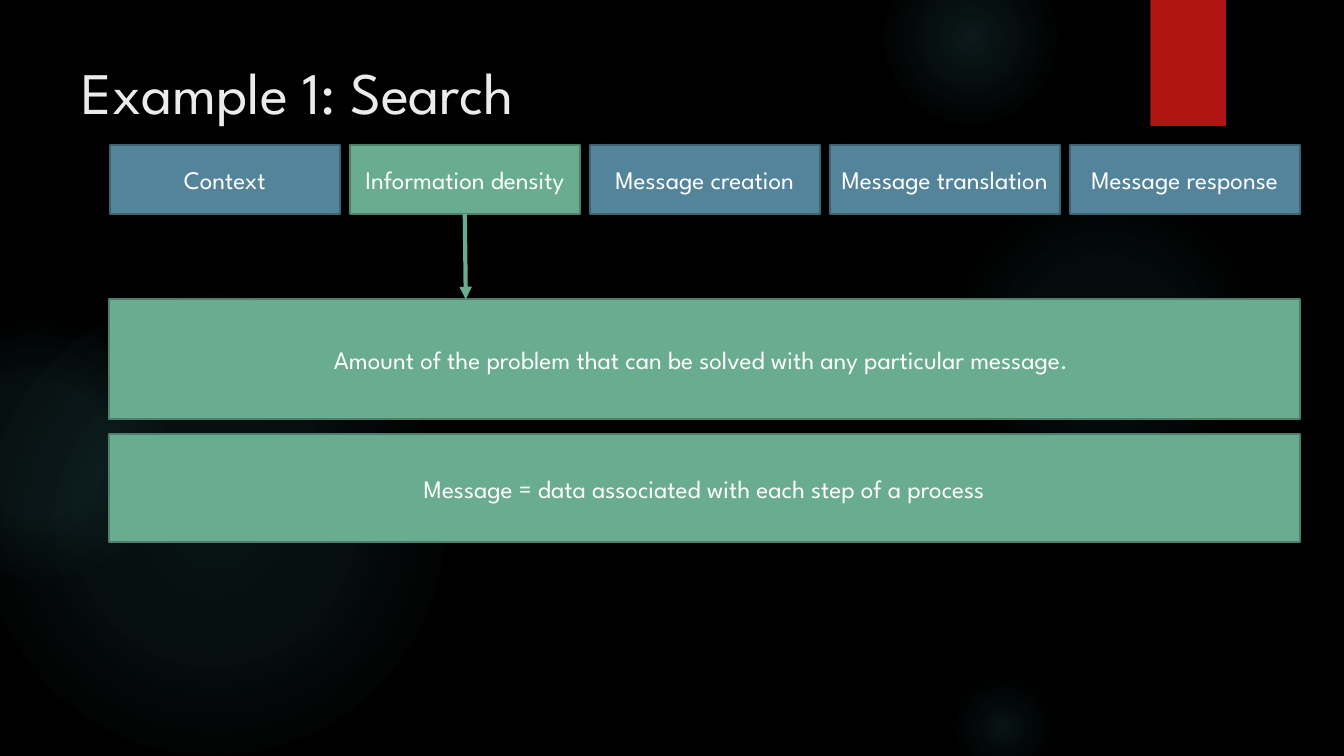
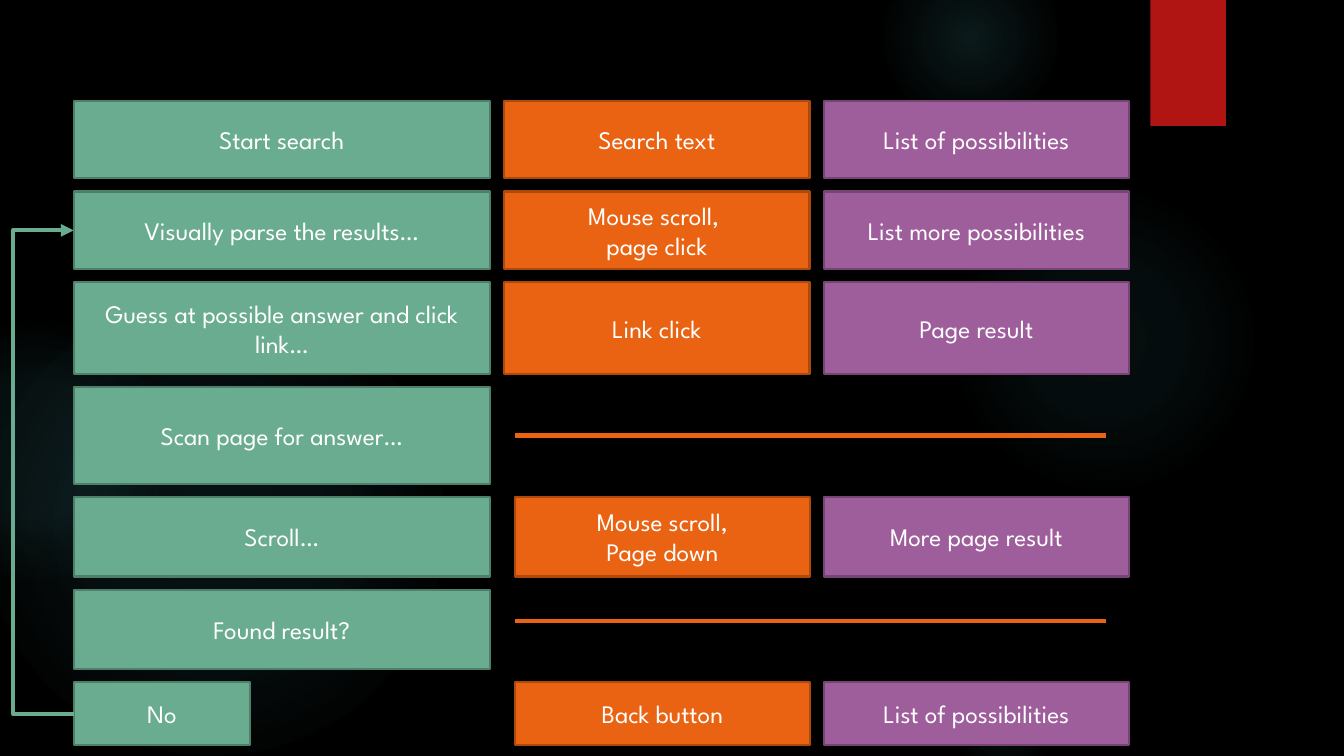
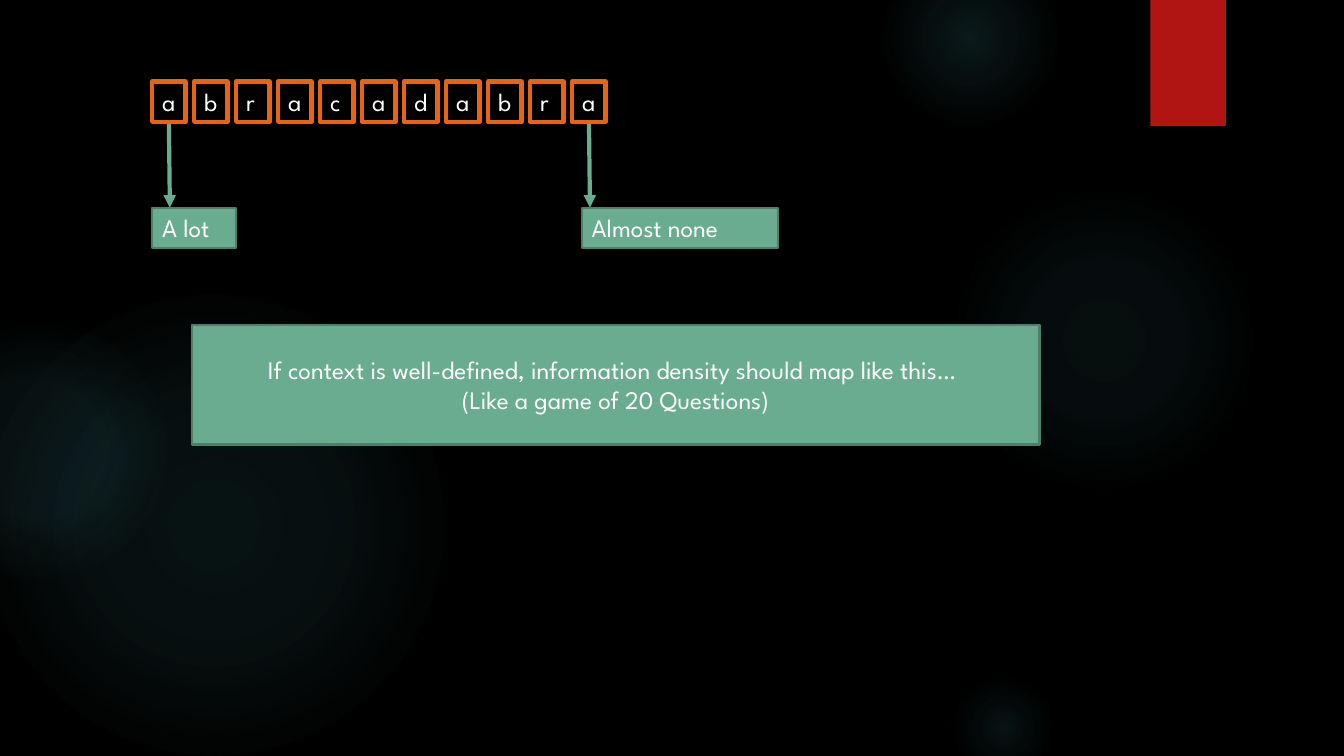
"""Build three slides on information density in search."""
from lxml import etree
from pptx import Presentation
from pptx.dml.color import RGBColor
from pptx.enum.shapes import MSO_CONNECTOR, MSO_SHAPE
from pptx.enum.text import MSO_ANCHOR, MSO_AUTO_SIZE, PP_ALIGN
from pptx.oxml import parse_xml
from pptx.oxml.ns import qn
from pptx.util import Emu, Inches, Pt

RECT, OVAL = MSO_SHAPE.RECTANGLE, MSO_SHAPE.OVAL
STRAIGHT, ELBOW = MSO_CONNECTOR.STRAIGHT, MSO_CONNECTOR.ELBOW
TOP, MIDDLE = MSO_ANCHOR.TOP, MSO_ANCHOR.MIDDLE
LEFT, CENTER = PP_ALIGN.LEFT, PP_ALIGN.CENTER
NO_FIT = MSO_AUTO_SIZE.NONE
DRAWING = "http://schemas.openxmlformats.org/drawingml/2006/main"

FONT = "League Spartan"
WIDE, HIGH = 13.33, 7.5
BLACK, WHITE, PALE, RED, GLOW = "000000", "FFFFFF", "EBEBEB", "B01513", "50B9C1"
BLUE = ("54849A", "3E6272")
GREEN = ("6AAC90", "4E7F6B")
ORANGE = ("EA6312", "AD490D")
PURPLE = ("9E5E9B", "754673")

GLOWS = [
    (-0.17, 2.92, 4.58, [(0, 10), (36, 8), (75, 0)]),
    (-0.92, 3.17, 2.58, [(0, 8), (36, 8), (72, 0)]),
    (9.41, 1.83, 3.08, [(0, 7), (36, 6), (69, 0)]),
    (8.75, -0.5, 1.75, [(0, 14), (36, 7), (73, 0)]),
    (9.41, 6.67, 1.08, [(0, 11), (30, 5), (67, 0)]),
]
TITLE = "Example 1: Search"
STEPS = ["Context", "Information density", "Message creation",
         "Message translation", "Message response"]
FOCUS = 1
NOTES = [
    (2.97, 1.19, "Amount of the problem that can be solved with any particular message. "),
    (4.31, 1.07, "Message = data associated with each step of a process"),
]
ROWS = [
    (0.77, "Start search", "Search text", "List of possibilities"),
    (0.77, "Visually parse the results…", "Mouse scroll, \npage click",
     "List more possibilities"),
    (0.91, "Guess at possible answer and click link…", "Link click", "Page result"),
    (0.96, "Scan page for answer…", None, 0.5),
    (0.79, "Scroll…", "Mouse scroll,\nPage down", "More page result"),
    (0.79, "Found result?", None, 0.39),
    (0.62, "No", "Back button", "List of possibilities"),
]
INDENTED = (4, 6)
WORD = "abracadabra"
ANSWERS = [(0, 1.51, 0.83, "A lot"), (len(WORD) - 1, 5.77, 1.95, "Almost none")]
ADVICE = ("If context is well-defined, information density should map like this… \n"
          "(Like a game of 20 Questions)")


def tint(code):
    return RGBColor.from_string(code)


def write(frame, text, size=18, color=WHITE, align=CENTER, anchor=MIDDLE):
    frame.text = text
    frame.word_wrap = True
    frame.vertical_anchor = anchor
    for para in frame.paragraphs:
        para.alignment = align
        para.font.name, para.font.size = FONT, Pt(size)
        para.font.color.rgb = tint(color)


def plain(slide, kind, *box):
    shape = slide.shapes.add_shape(kind, *map(Inches, box))
    shape.shadow.inherit = False
    shape.line.fill.background()
    return shape


def card(slide, box, text, pair, align=CENTER, anchor=MIDDLE):
    shape = plain(slide, RECT, *box)
    fill, edge = pair
    shape.fill.solid()
    shape.fill.fore_color.rgb = tint(fill)
    shape.line.color.rgb = tint(edge)
    shape.line.width = Pt(1.5)
    write(shape.text_frame, text, align=align, anchor=anchor)


def link(slide, start, end, color, arrow=False, kind=STRAIGHT):
    line = slide.shapes.add_connector(kind, *map(Inches, start + end))
    line.line.color.rgb = tint(color)
    line.line.width = Pt(3)
    props = line.element.spPr
    if arrow:
        tail = etree.SubElement(props.find(qn("a:ln")), qn("a:tailEnd"))
        tail.set("type", "triangle")
    etree.SubElement(props, qn("a:effectLst"))
    return line


def loop(slide, x, low, high):
    line = link(slide, (x, high), (x, low), GREEN[0], True, ELBOW)
    line.begin_x = line.end_x + Emu(300)
    props = line.element.spPr
    props.find(qn("a:xfrm")).set("rot", "10800000")
    shape = props.find(qn("a:prstGeom"))
    guides = shape.find(qn("a:avLst"))
    if guides is None:
        guides = etree.SubElement(shape, qn("a:avLst"))
    guide = etree.SubElement(guides, qn("a:gd"))
    guide.set("name", "adj1")
    guide.set("fmla", "val -76200000")


def glow(slide, x, y, size, stops):
    shape = plain(slide, OVAL, x, y, size, size)
    shape.fill.background()
    marks = "".join(
        f'<a:gs pos="{pos * 1000}"><a:srgbClr val="{GLOW}">'
        f'<a:alpha val="{alpha * 1000}"/></a:srgbClr></a:gs>' for pos, alpha in stops)
    props = shape.element.spPr
    props.replace(props.find(qn("a:noFill")), parse_xml(
        f'<a:gradFill xmlns:a="{DRAWING}" rotWithShape="1"><a:gsLst>{marks}</a:gsLst>'
        '<a:path path="circle"><a:fillToRect l="50000" t="50000" r="50000" b="50000"/>'
        '</a:path></a:gradFill>'))
    return shape


def dress(deck, slide):
    master = deck.slide_master
    master.background.fill.solid()
    master.background.fill.fore_color.rgb = tint(BLACK)
    decor = [glow(slide, *spot) for spot in GLOWS]
    band = plain(slide, RECT, 11.41, 0, 0.75, 1.25)
    band.fill.solid()
    band.fill.fore_color.rgb = tint(RED)
    for spot, shape in enumerate(decor + [band], 2):
        master.shapes.element.insert(spot, shape.element)


def steps(slide):
    title = slide.shapes.title
    title.left, title.top, title.width, title.height = map(Inches, (0.71, 0.5, 10.29, 1.53))
    write(title.text_frame, TITLE, 42, PALE, LEFT, TOP)
    title.text_frame.auto_size = NO_FIT
    left, top, wide, high, pitch = 1.09, 1.44, 2.28, 0.68, 2.38
    for spot, text in enumerate(STEPS):
        card(slide, (left + spot * pitch, top, wide, high), text,
             GREEN if spot == FOCUS else BLUE)
    for y, tall, text in NOTES:
        card(slide, (1.08, y, 11.81, tall), text, GREEN)
    mid = left + FOCUS * pitch + wide / 2
    link(slide, (mid, top + high), (mid + 0.01, NOTES[0][0]), GREEN[0], True)


def table(slide):
    gap, left, inset = 0.13, 0.73, 0.11
    wide, slim, small = 4.13, 3.03, 1.75
    click_x, reply_x = 5, 8.17
    top, mids = 1, []
    for spot, (high, step, click, reply) in enumerate(ROWS):
        last = spot == len(ROWS) - 1
        card(slide, (left, top, small if last else wide, high), step, GREEN)
        mids.append(top + high / 2)
        if click is None:
            y = top + high * reply
            link(slide, (click_x + inset, y), (10.97, y), ORANGE[0])
        else:
            shift = inset if spot in INDENTED else 0
            card(slide, (click_x + shift, top, slim - shift, high), click, ORANGE)
            card(slide, (reply_x, top, slim, high), reply, PURPLE)
        top += high + gap
    loop(slide, left, mids[-1], mids[1])


def letters(slide):
    left, top, wide, high = 1.51, 0.81, 0.33, 0.4
    pitch, floor = 5 / 12, 2.06
    for spot, x, span, text in ANSWERS:
        mid = left + spot * pitch + wide / 2
        link(slide, (mid, top + high), (mid + 0.01, floor), GREEN[0], True)
        card(slide, (x, floor, span, high), text, GREEN, LEFT, TOP)
    for spot, char in enumerate(WORD):
        box = slide.shapes.add_textbox(
            *map(Inches, (left + spot * pitch, top, wide, high)))
        box.line.color.rgb = tint(ORANGE[0])
        box.line.width = Pt(3)
        write(box.text_frame, char, align=LEFT, anchor=TOP)
    card(slide, (1.9, 3.22, 8.41, 1.19), ADVICE, GREEN)


def main():
    deck = Presentation()
    deck.slide_width, deck.slide_height = Inches(WIDE), Inches(HIGH)
    titled, blank = deck.slide_layouts[5], deck.slide_layouts[6]
    pages = [(titled, steps), (blank, table), (blank, letters)]
    for spot, (layout, draw) in enumerate(pages):
        slide = deck.slides.add_slide(layout)
        if spot == 0:
            dress(deck, slide)
        draw(slide)
    deck.save("out.pptx")


if __name__ == "__main__":
    main()
